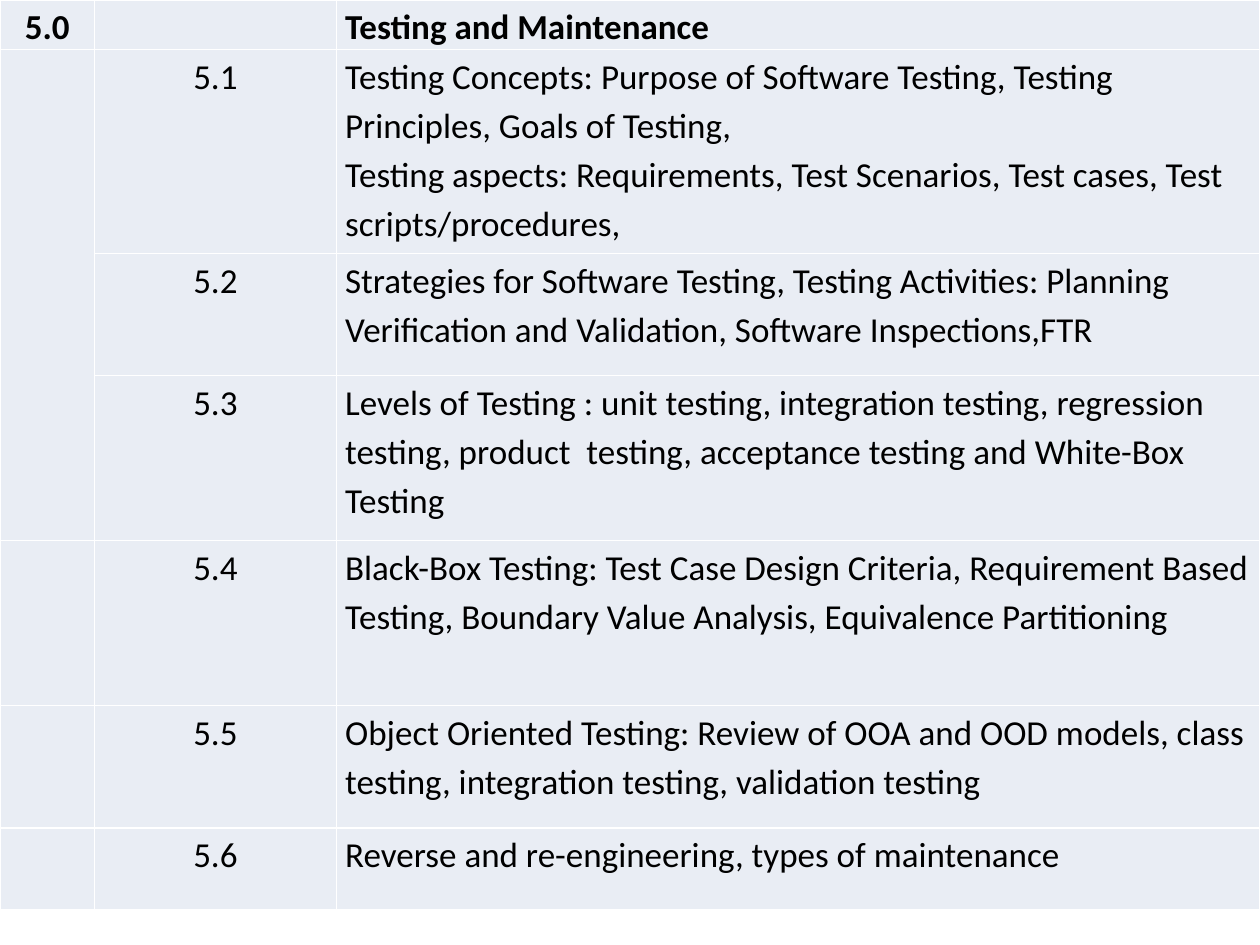
from dataclasses import dataclass

from lxml import etree
from pptx import Presentation
from pptx import util as u
from pptx.dml.color import RGBColor
from pptx.enum import text
from pptx.oxml import ns

BLACK = RGBColor(0x00, 0x00, 0x00)
WHITE = RGBColor(0xFF, 0xFF, 0xFF)
PALE_BLUE = RGBColor(0xE9, 0xED, 0xF4)

WIDTH, HEIGHT = u.Inches(10), u.Inches(7.5)
COLUMN_SHARES = (0.075, 0.192, 0.733)
LINE = u.Inches(0.33)  # row heights are close to multiples of one text line


@dataclass(frozen=True)
class Topic:
    height: float  # inches
    body: str
    unit: str = ""
    number: str = ""
    bold: bool = False
    space_after: int = 0


TOPICS = (
    Topic(0.32, "Testing and Maintenance", unit="5.0", bold=True),
    Topic(1.62, "Testing Concepts: Purpose of Software Testing, Testing Principles, "
          "Goals of Testing,\nTesting aspects: Requirements, Test Scenarios, "
          "Test cases, Test scripts/procedures,", number="5.1"),
    Topic(0.97, "Strategies for Software Testing, Testing Activities: Planning "
          "Verification and Validation, Software Inspections,FTR",
          number="5.2", space_after=10),
    Topic(1.31, "Levels of Testing : unit testing, integration testing, regression "
          "testing, product  testing, acceptance testing and White-Box Testing",
          number="5.3"),
    Topic(1.31, "Black-Box Testing: Test Case Design Criteria, Requirement Based "
          "Testing, Boundary Value Analysis, Equivalence Partitioning", number="5.4"),
    Topic(0.97, "Object Oriented Testing: Review of OOA and OOD models, class "
          "testing, integration testing, validation testing", number="5.5"),
    Topic(0.65, "Reverse and re-engineering, types of maintenance", number="5.6"),
)


def style_cell(cell) -> None:
    """White borders, pale fill and tight margins."""
    tc_pr = cell._tc.get_or_add_tcPr()
    for side in ("lnL", "lnR", "lnT", "lnB"):
        ln = etree.SubElement(tc_pr, ns.qn(f"a:{side}"), w=str(u.Pt(1)))
        fill = etree.SubElement(ln, ns.qn("a:solidFill"))
        etree.SubElement(fill, ns.qn("a:srgbClr"), val=str(WHITE))
    cell.fill.solid()
    cell.fill.fore_color.rgb = PALE_BLUE
    cell.margin_left = cell.margin_right = u.Inches(0.07)
    cell.margin_top = cell.margin_bottom = 0


def write_cell(cell, content: str, topic: Topic, centred: bool) -> None:
    tf = cell.text_frame
    tf.text = content
    for p in tf.paragraphs:
        p.alignment = text.PP_ALIGN.CENTER if centred else text.PP_ALIGN.LEFT
        p.line_spacing = 1.15
        if topic.space_after and not centred:
            p.space_after = u.Pt(topic.space_after)
        for r in p.runs:
            r.font.name, r.font.size = "Calibri", u.Pt(20)
            r.font.bold = topic.bold
            r.font.color.rgb = BLACK


def add_syllabus(s) -> None:
    height = u.Inches(sum(t.height for t in TOPICS))
    table = s.shapes.add_table(len(TOPICS), len(COLUMN_SHARES),
                               0, 0, WIDTH, height).table
    table.first_row = table.horz_banding = False
    for column, share in zip(table.columns, COLUMN_SHARES):
        column.width = int(WIDTH * share)
    for i, topic in enumerate(TOPICS):
        table.rows[i].height = u.Inches(topic.height)
        for j, content in enumerate((topic.unit, topic.number, topic.body)):
            cell = table.cell(i, j)
            style_cell(cell)
            if content:
                write_cell(cell, content, topic, centred=j < 2)
    # The unit column is shared by topics 5.1 to 5.3
    table.cell(1, 0).merge(table.cell(3, 0))


def main() -> None:
    prs = Presentation()
    prs.slide_width, prs.slide_height = WIDTH, HEIGHT
    add_syllabus(prs.slides.add_slide(prs.slide_layouts[6]))
    prs.save("out.pptx")


if __name__ == "__main__":
    main()
